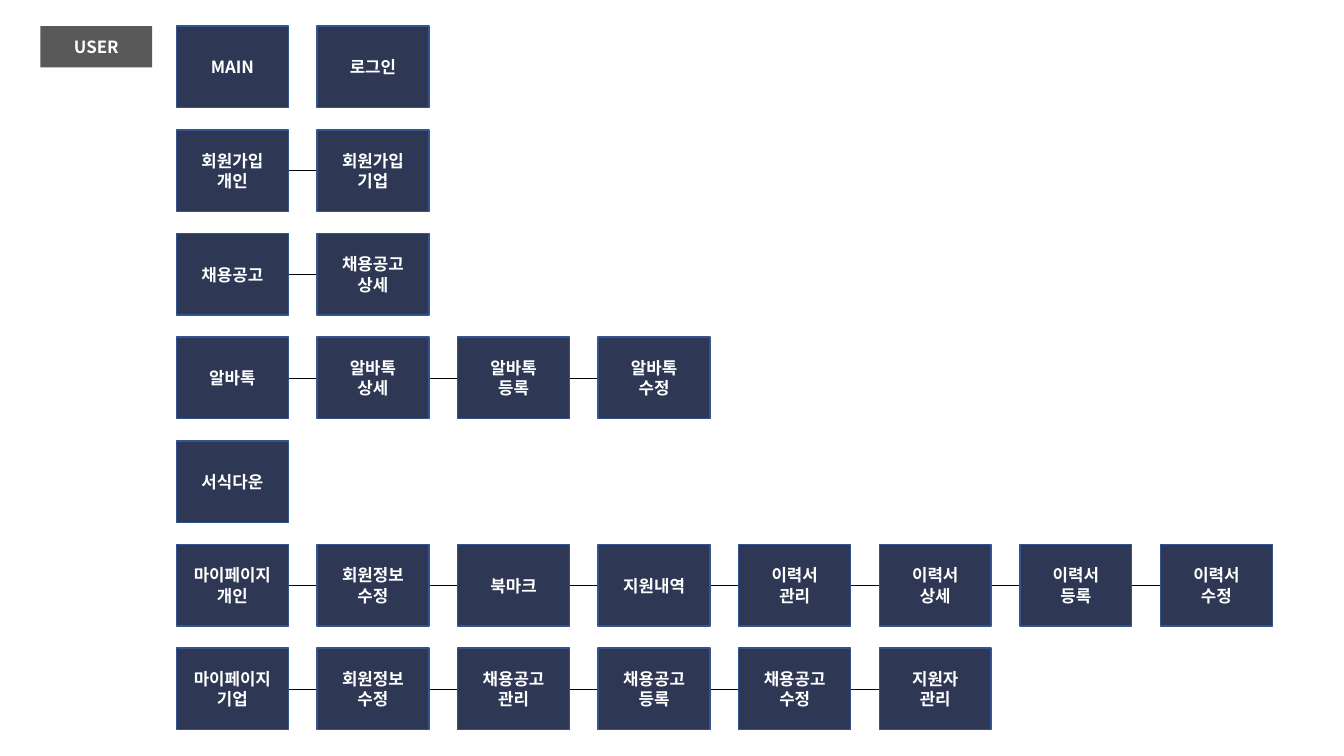
from lxml import etree
from pptx import Presentation
from pptx.dml.color import RGBColor
from pptx.enum.shapes import MSO_CONNECTOR as Connector, MSO_SHAPE as Shape
from pptx.enum.text import MSO_ANCHOR as Anchor, MSO_AUTO_SIZE as AutoSize, PP_ALIGN as Align
from pptx.oxml.ns import qn
from pptx.util import Inches, Pt

FONT = "Noto Sans CJK KR"
WHITE, NAVY, BLUE, GREY, BLACK = "FFFFFF", "2E3854", "325491", "595959", "000000"
LEFT_SIDE, RIGHT_SIDE = 1, 3

PAGE_WIDTH, PAGE_HEIGHT = 1.11, 0.81
MAP_LEFT, MAP_TOP = 1.75, 0.26
COLUMN_PITCH = (11.51 - MAP_LEFT) / 7
ROW_PITCH = (6.43 - MAP_TOP) / 6

SITE_MAP = [
    (["MAIN", "로그인"], False),
    (["회원가입\n개인", "회원가입\n기업"], True),
    (["채용공고", "채용공고\n상세"], True),
    (["알바톡", "알바톡\n상세", "알바톡\n등록", "알바톡\n수정"], True),
    (["서식다운"], False),
    (["마이페이지\n개인", "회원정보\n수정", "북마크", "지원내역",
      "이력서\n관리", "이력서\n상세", "이력서\n등록", "이력서\n수정"], True),
    (["마이페이지\n기업", "회원정보\n수정", "채용공고\n관리", "채용공고\n등록",
      "채용공고\n수정", "지원자\n관리"], True),
]


def color(hex_code):
    return RGBColor.from_string(hex_code)


def paint(target, fill):
    target.fill.solid()
    target.fill.fore_color.rgb = color(fill)


def write_label(target, text):
    frame = target.text_frame
    frame.text = text
    frame.word_wrap = True
    frame.auto_size = AutoSize.NONE
    frame.vertical_anchor = Anchor.MIDDLE
    for paragraph in frame.paragraphs:
        paragraph.alignment = Align.CENTER
        for run in paragraph.runs:
            run.font.name = FONT
            run.font.size = Pt(12)
            run.font.bold = True
            run.font.color.rgb = color(WHITE)
            latin = run._r.rPr.find(qn("a:latin"))
            east_asian = etree.Element(qn("a:ea"), typeface=FONT)
            latin.addnext(east_asian)


def add_user_title(slide, left, top, width, height):
    title = slide.shapes.title
    title.left, title.top = Inches(left), Inches(top)
    title.width, title.height = Inches(width), Inches(height)
    paint(title, GREY)
    write_label(title, "USER")


def add_page(slide, left, top, text):
    page = slide.shapes.add_shape(
        Shape.RECTANGLE, Inches(left), Inches(top), Inches(PAGE_WIDTH), Inches(PAGE_HEIGHT))
    page.shadow.inherit = False
    paint(page, NAVY)
    page.line.color.rgb = color(BLUE)
    page.line.width = Pt(1)
    write_label(page, text)
    return page


def link_pages(slide, first, last):
    link = slide.shapes.add_connector(Connector.STRAIGHT, 0, 0, 0, 0)
    link.begin_connect(first, RIGHT_SIDE)
    link.end_connect(last, LEFT_SIDE)
    link.line.color.rgb = color(BLACK)
    link.line.width = Pt(0.5)
    etree.SubElement(link._element.spPr, qn("a:effectLst"))
    first._element.addprevious(link._element)


def add_menu_row(slide, left, top, names, linked):
    pages = [add_page(slide, left + column * COLUMN_PITCH, top, name)
             for column, name in enumerate(names)]
    if linked:
        link_pages(slide, pages[0], pages[-1])


def main():
    deck = Presentation()
    deck.slide_width, deck.slide_height = Inches(13.33), Inches(7.5)
    slide = deck.slides.add_slide(deck.slide_layouts[5])
    add_user_title(slide, 0.4, MAP_TOP, PAGE_WIDTH, 0.41)
    for row, (names, linked) in enumerate(SITE_MAP):
        add_menu_row(slide, MAP_LEFT, MAP_TOP + row * ROW_PITCH, names, linked)
    deck.save("out.pptx")


if __name__ == "__main__":
    main()
